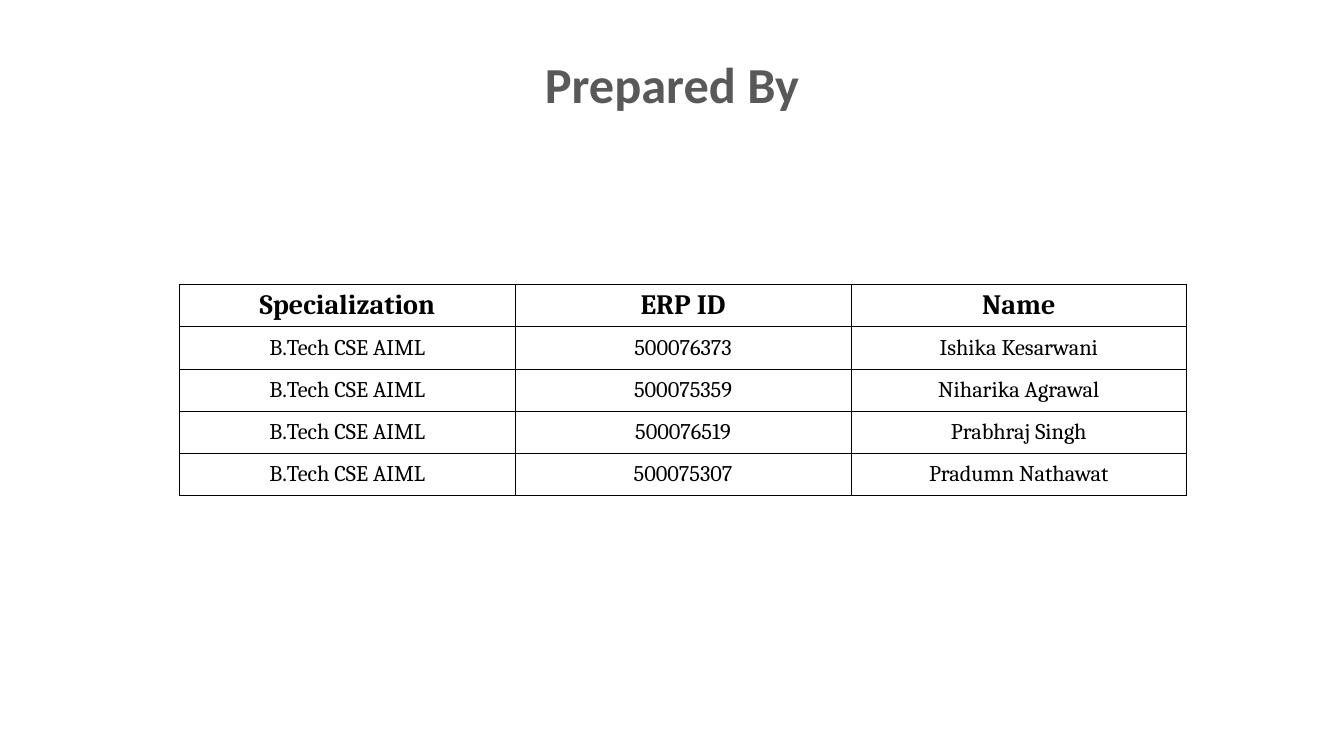
from lxml.etree import SubElement
from pptx import Presentation
from pptx.dml.color import RGBColor
from pptx.enum.text import MSO_ANCHOR, PP_ALIGN
from pptx.oxml.ns import qn
from pptx.util import Inches, Pt


def write_text(frame, text, font, size, color, bold=False):
    para = frame.paragraphs[0]
    para.alignment = PP_ALIGN.CENTER
    span = para.add_run()
    span.text = text
    span.font.name = font
    span.font.size = Pt(size)
    span.font.bold = bold
    span.font.color.rgb = RGBColor.from_string(color)


def add_borders(cell, color, width):
    properties = cell._tc.get_or_add_tcPr()
    for side in ("lnL", "lnR", "lnT", "lnB"):
        line = SubElement(properties, qn(f"a:{side}"), w=str(Pt(width)))
        fill = SubElement(line, qn("a:solidFill"))
        SubElement(fill, qn("a:srgbClr"), val=color)


deck = Presentation()
deck.slide_width = Inches(13.33)
deck.slide_height = Inches(7.5)
page = deck.slides.add_slide(deck.slide_layouts[6])

# Title
title_box = page.shapes.add_textbox(Inches(0), Inches(0.34), Inches(13.33), Inches(0.97))
title_box.text_frame.word_wrap = True
title_box.text_frame.vertical_anchor = MSO_ANCHOR.MIDDLE
write_text(title_box.text_frame, "Prepared By", font="Calibri", size=36, color="595959", bold=True)

# Team table
COURSE = "B.Tech CSE AIML"
rows = [
    ("Specialization", "ERP ID", "Name"),
    (COURSE, "500076373", "Ishika Kesarwani"),
    (COURSE, "500075359", "Niharika Agrawal"),
    (COURSE, "500076519", "Prabhraj Singh"),
    (COURSE, "500075307", "Pradumn Nathawat"),
]
COLUMN_WIDTH, ROW_HEIGHT = 3.33, 0.42
table = page.shapes.add_table(
    len(rows), len(rows[0]), Inches(1.78), Inches(2.82),
    Inches(COLUMN_WIDTH * len(rows[0])), Inches(ROW_HEIGHT * len(rows)),
).table
table.first_row = False
table.horz_banding = False
for column in table.columns:
    column.width = Inches(COLUMN_WIDTH)

for row_index, values in enumerate(rows):
    table.rows[row_index].height = Inches(ROW_HEIGHT)
    is_header = row_index == 0
    for column_index, value in enumerate(values):
        cell = table.cell(row_index, column_index)
        cell.margin_left = cell.margin_right = Inches(0.07)
        cell.margin_top = cell.margin_bottom = Inches(0)
        cell.vertical_anchor = MSO_ANCHOR.MIDDLE
        add_borders(cell, "000000", 0.5)
        cell.fill.background()
        write_text(cell.text_frame, value, font="Cambria", size=20 if is_header else 16,
                   color="000000", bold=is_header)

deck.save("out.pptx")
